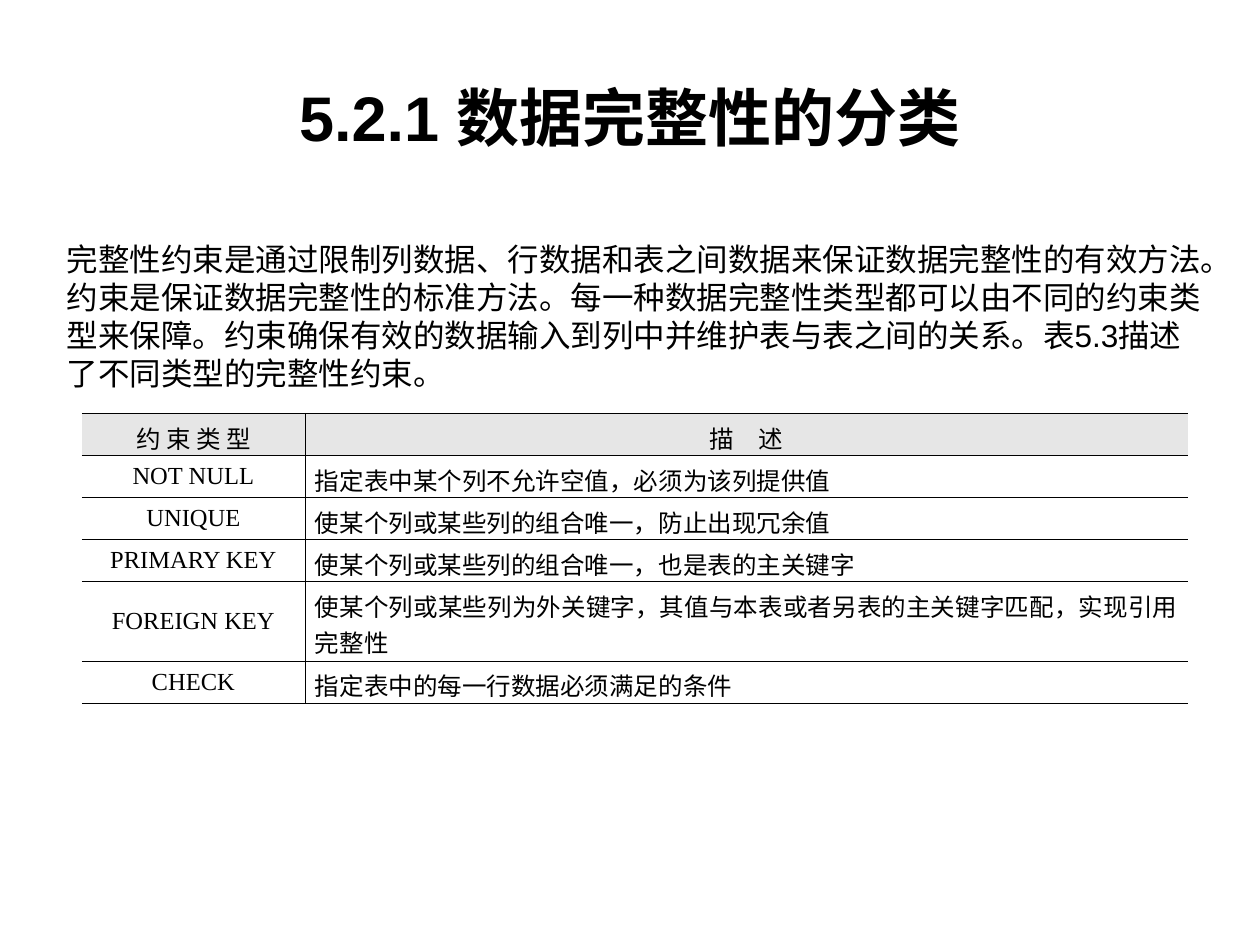
from dataclasses import dataclass
from lxml import etree
from pptx import Presentation
from pptx.dml.color import RGBColor
from pptx.enum.text import MSO_ANCHOR, PP_ALIGN
from pptx.oxml.ns import qn
from pptx.slide import Slide
from pptx.util import Inches, Pt

LEFT, CENTER, JUSTIFY = PP_ALIGN.LEFT, PP_ALIGN.CENTER, PP_ALIGN.JUSTIFY
TOP, MIDDLE = MSO_ANCHOR.TOP, MSO_ANCHOR.MIDDLE
GRID_COLUMNS, GRID_ROWS = 100, 75

TITLE = "5.2.1 数据完整性的分类"
INTRODUCTION = (
    "完整性约束是通过限制列数据、行数据和表之间数据来保证数据完整性的有效方法。"
    "约束是保证数据完整性的标准方法。每一种数据完整性类型都可以由不同的约束类型来保障。"
    "约束确保有效的数据输入到列中并维护表与表之间的关系。表5.3描述了不同类型的完整性约束。"
)
CONSTRAINTS = [
    ("约 束 类 型", "描　述"),
    ("NOT NULL", "指定表中某个列不允许空值，必须为该列提供值"),
    ("UNIQUE", "使某个列或某些列的组合唯一，防止出现冗余值"),
    ("PRIMARY KEY", "使某个列或某些列的组合唯一，也是表的主关键字"),
    ("FOREIGN KEY", "使某个列或某些列为外关键字，其值与本表或者另表的主关键字匹配，实现引用完整性"),
    ("CHECK", "指定表中的每一行数据必须满足的条件"),
]


def color(value):
    """Return the colour for a hex string."""
    return RGBColor.from_string(value)


def write_text(frame, text, font="Arial", size=18, bold=False, ink="000000", align=LEFT):
    """Fill a text frame with one formatted paragraph."""
    paragraph = frame.paragraphs[0]
    paragraph.alignment = align
    run = paragraph.add_run()
    run.text = text
    run.font.name, run.font.size, run.font.bold = font, Pt(size), bold
    run.font.color.rgb = color(ink)


@dataclass
class SlideBuilder:
    """Hold the style and the current slide, placing elements on a grid."""

    slide: Slide
    unit_width: float
    unit_height: float
    ink: str = "000000"
    header_fill: str = "E6E6E6"
    rule_width: float = 0.45

    def area(self, column, row, width, height):
        """Turn grid units into a left, top, width and height."""
        return (round(column * self.unit_width), round(row * self.unit_height),
                round(width * self.unit_width), round(height * self.unit_height))

    def text_box(self, area, text, anchor=TOP, **style):
        """Add a wrapped text box."""
        frame = self.slide.shapes.add_textbox(*self.area(*area)).text_frame
        frame.word_wrap = True
        frame.vertical_anchor = anchor
        write_text(frame, text, ink=self.ink, **style)

    def set_borders(self, cell, visible):
        """Draw the visible sides of a cell and clear the others."""
        properties = cell._tc.get_or_add_tcPr()
        for side in "LRTB":
            line = etree.SubElement(properties, qn(f"a:ln{side}"), w=str(Pt(self.rule_width)))
            if side in visible:
                fill = etree.SubElement(line, qn("a:solidFill"))
                etree.SubElement(fill, qn("a:srgbClr"), val=self.ink)
            else:
                etree.SubElement(line, qn("a:noFill"))

    def table(self, area, rows, widths, heights, **style):
        """Add a ruled table with open outer sides and a shaded header."""
        table = self.slide.shapes.add_table(len(rows), len(widths), *self.area(*area)).table
        table.first_row = table.horz_banding = False
        for column, width in zip(table.columns, widths):
            column.width = round(width * self.unit_width)
        for row_index, (row, height) in enumerate(zip(rows, heights)):
            table.rows[row_index].height = round(height * self.unit_height)
            for column_index, text in enumerate(row):
                cell = table.cell(row_index, column_index)
                cell.vertical_anchor = MIDDLE
                cell.margin_left = cell.margin_right = Inches(0.08)
                cell.margin_top = cell.margin_bottom = Inches(0.05)
                self.set_borders(cell, "TBL" if column_index else "TBR")
                if row_index == 0:
                    cell.fill.solid()
                    cell.fill.fore_color.rgb = color(self.header_fill)
                else:
                    cell.fill.background()
                align = JUSTIFY if row_index and column_index else CENTER
                write_text(cell.text_frame, text, ink=self.ink, align=align, **style)


def main():
    """Build and save the slide."""
    presentation = Presentation()
    presentation.slide_width, presentation.slide_height = Inches(10), Inches(7.5)
    builder = SlideBuilder(
        presentation.slides.add_slide(presentation.slide_layouts[6]),
        presentation.slide_width / GRID_COLUMNS,
        presentation.slide_height / GRID_ROWS,
    )
    builder.text_box((5, 3, 90, 12.5), TITLE, anchor=MIDDLE, size=36, bold=True, align=CENTER)
    builder.text_box((4.3, 18.6, 92.1, 16), INTRODUCTION)
    heights = [6.3 if name == "FOREIGN KEY" else 3.1 for name, _ in CONSTRAINTS]
    builder.table((6.5, 32.8, 87.8, sum(heights)), CONSTRAINTS, (17.7, 70.1), heights,
                  font="Times New Roman", size=14)
    presentation.save("out.pptx")


if __name__ == "__main__":
    main()
